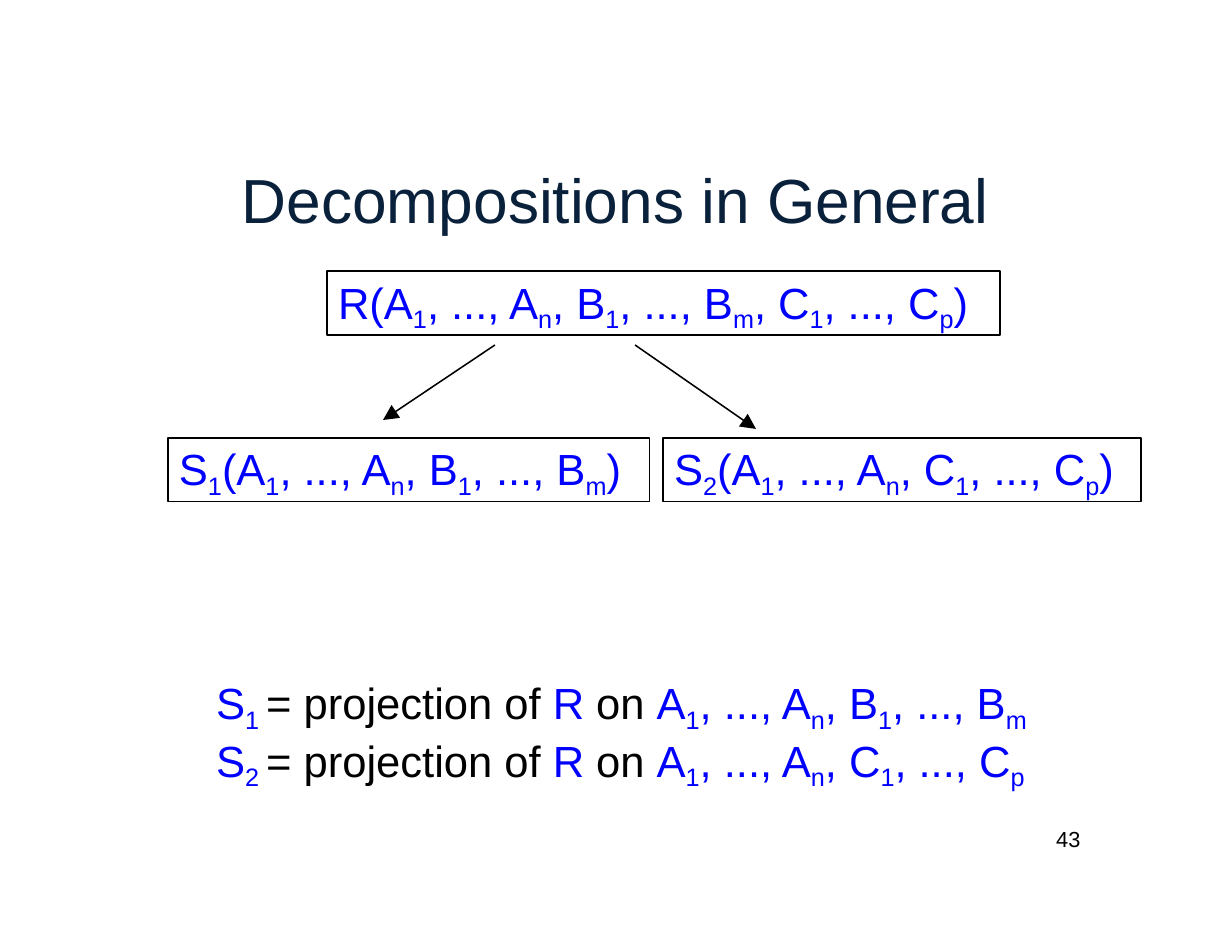
from lxml import etree
from pptx import Presentation
from pptx.dml.color import RGBColor
from pptx.enum import shapes, text
from pptx.oxml.ns import qn
from pptx.util import Inches, Pt

NAVY = RGBColor(0x09, 0x21, 0x3B)
BLUE = RGBColor(0x00, 0x00, 0xFF)
BLACK = RGBColor(0x00, 0x00, 0x00)
FONT = "Arial"


def prepare_frame(shape, left=0, top=0):
    frame = shape.text_frame
    frame.word_wrap = True
    frame.auto_size = text.MSO_AUTO_SIZE.NONE
    frame.vertical_anchor = text.MSO_ANCHOR.TOP
    frame.margin_left, frame.margin_top = Inches(left), Inches(top)
    frame.margin_right = frame.margin_bottom = 0
    return frame


def format_span(span, size, color):
    span.font.name = FONT
    span.font.size = Pt(size)
    span.font.color.rgb = color


def write_formula(para, parts, space_before):
    """Text between underscores is set as a subscript."""
    para.alignment = text.PP_ALIGN.LEFT
    para.space_before = Pt(space_before)
    for words, color in parts:
        for index, piece in enumerate(words.split("_")):
            if not piece:
                continue
            span = para.add_run()
            span.text = piece
            format_span(span, 28, color)
            if index % 2:
                span.font._element.set("baseline", "-21000")


def add_title(page, box, words):
    title = page.shapes.title
    title.left, title.top, title.width, title.height = map(Inches, box)
    frame = prepare_frame(title, 0.01, 0.01)
    frame.text = words
    para = frame.paragraphs[0]
    para.alignment = text.PP_ALIGN.LEFT
    para.space_before = Pt(1)
    format_span(para.runs[0], 40, NAVY)


def add_relation(page, box, formula):
    relation = page.shapes.add_shape(shapes.MSO_SHAPE.RECTANGLE, *map(Inches, box))
    relation.shadow.inherit = False
    relation.fill.background()
    relation.line.color.rgb = BLACK
    relation.line.width = Pt(1)
    frame = prepare_frame(relation, 0.1, 0.04)
    write_formula(frame.paragraphs[0], [(formula, BLUE)], 3)


def add_arrow(page, start, end):
    arrow = page.shapes.add_connector(
        shapes.MSO_CONNECTOR.STRAIGHT, *map(Inches, start + end))
    arrow.line.color.rgb = BLACK
    arrow.line.width = Pt(1)
    etree.SubElement(arrow.line._get_or_add_ln(), qn("a:tailEnd"),
                     type="triangle", w="lg", len="lg")
    etree.SubElement(arrow._element.spPr, qn("a:effectLst"))


def add_projections(page, box, projections):
    frame = prepare_frame(page.shapes.add_textbox(*map(Inches, box)), 0.04, 0.01)
    for index, (name, attributes) in enumerate(projections):
        para = frame.add_paragraph() if index else frame.paragraphs[0]
        parts = [(name, BLUE), ("= projection of ", BLACK), ("R ", BLUE),
                 ("on ", BLACK), (attributes, BLUE)]
        write_formula(para, parts, 0 if index else 1)


def add_page_number(page, box, number):
    frame = prepare_frame(page.shapes.add_textbox(*map(Inches, box)), 0.04)
    frame.text = number
    para = frame.paragraphs[0]
    para.line_spacing = Pt(16.4)
    format_span(para.runs[0], 14, BLACK)


def main():
    deck = Presentation()
    deck.slide_width, deck.slide_height = Inches(11), Inches(8.5)
    page = deck.slides.add_slide(deck.slide_layouts[5])

    list_a = "A_1_, ..., A_n_"
    list_b = "B_1_, ..., B_m_"
    list_c = "C_1_, ..., C_p_"
    with_b = f"{list_a}, {list_b}"
    with_c = f"{list_a}, {list_c}"

    add_title(page, (2.15, 1.43, 6.7, 0.7), "Decompositions in General")
    add_projections(page, (1.89, 6.03, 7.45, 0.96),
                    [("S_1 _", with_b), ("S_2 _", with_c)])
    add_relation(page, (2.92, 2.42, 6.01, 0.57), f"R({with_b}, {list_c})")
    add_relation(page, (1.5, 3.91, 4.3, 0.57), f"S_1_({with_b})")
    add_relation(page, (5.92, 3.91, 4.27, 0.57), f"S_2_({with_c})")
    add_arrow(page, (4.42, 3.08), (3.42, 3.75))
    add_arrow(page, (5.67, 3.08), (6.75, 3.83))
    add_page_number(page, (9.39, 7.38, 0.3, 0.25), "43")

    deck.save("out.pptx")


if __name__ == "__main__":
    main()
